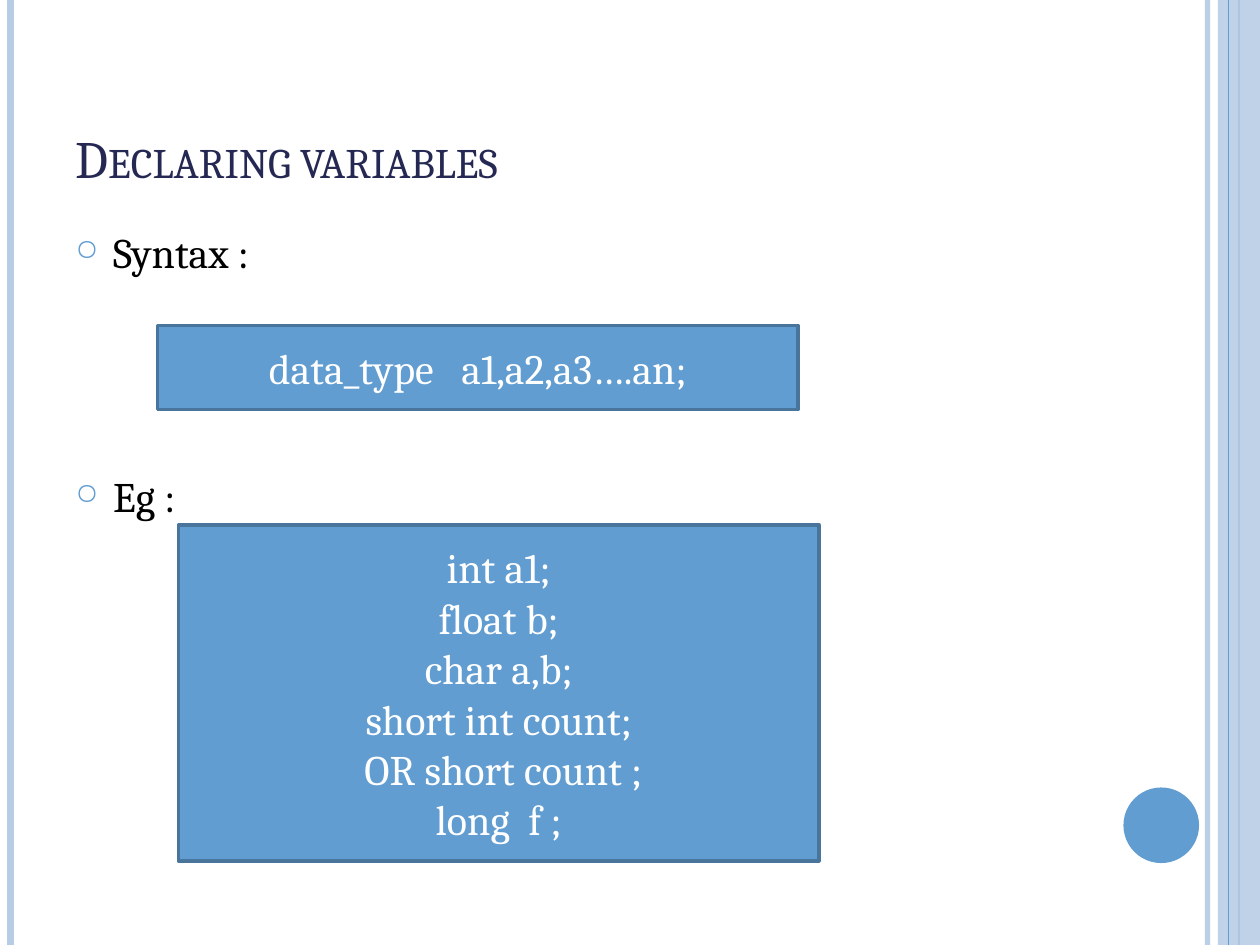
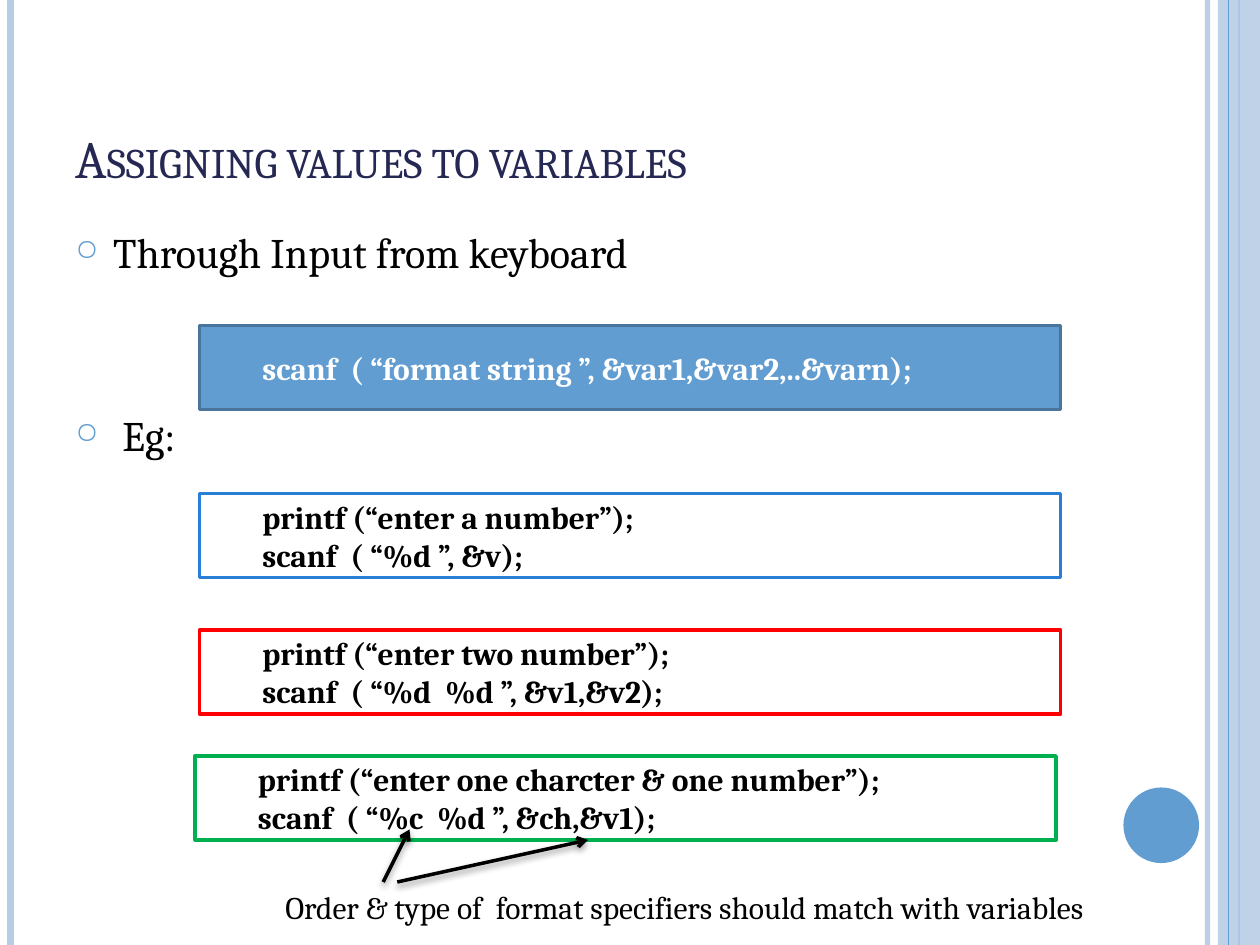
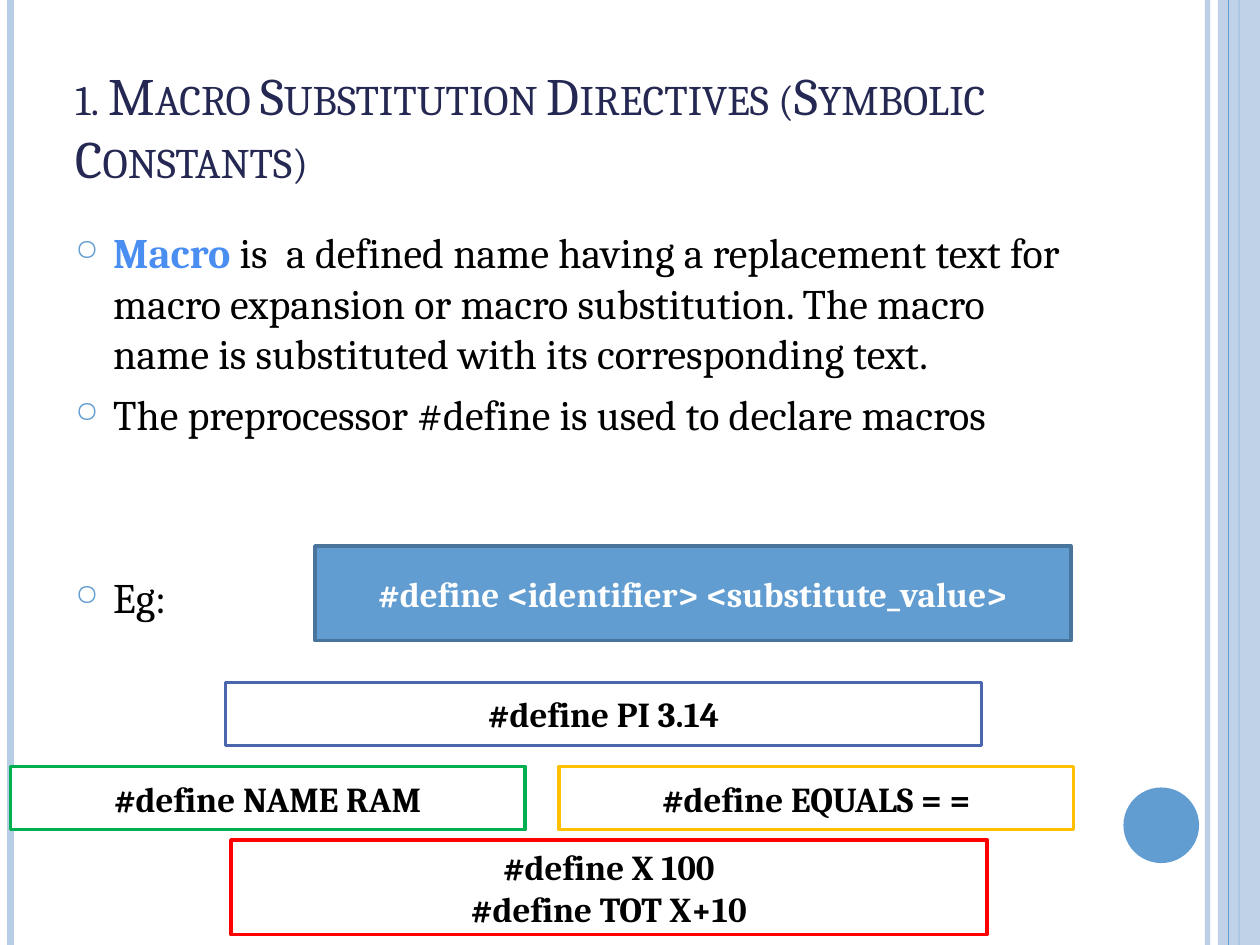
from lxml import etree
from pptx import Presentation
from pptx.dml import color
from pptx.enum import shapes, text
from pptx.oxml import ns
from pptx.util import Pt

WIDTH, HEIGHT = 720, 540
BLUE, PALE, EDGE, NAVY = "629DD1", "B7CCE5", "49749B", "242852"
BLACK, WHITE, RED, GREEN = "000000", "FFFFFF", "FF0000", "00B050"
LINE_PITCH = 34.86  # one 24 pt body line with its space before


def rgb(value):
    return color.RGBColor.from_string(value)


def child(parent, tag, **attributes):
    element = etree.SubElement(parent, ns.qn(tag))
    for key, value in attributes.items():
        element.set(key, str(value))
    return element


def set_alpha(parent, percent):
    for clr in parent.iter(ns.qn("a:srgbClr")):
        child(clr, "a:alpha", val=percent * 1000)


class Deck:
    font = "Cambria"

    def __init__(self):
        self.prs = Presentation()
        self.prs.slide_width, self.prs.slide_height = Pt(WIDTH), Pt(HEIGHT)

    def new_slide(self, title):
        self.slide = self.prs.slides.add_slide(self.prs.slide_layouts[6])
        self.bands()
        self.title(title)

    # Decoration shared by all slides
    def bands(self):
        self.rule(690, PALE, 3, alpha=93)
        self.rule(6, PALE, 4.5)
        self.rule(708, BLUE, 1.5)
        strip = self.shape(shapes.MSO_SHAPE.RECTANGLE, (696, 0, 24, HEIGHT), PALE)
        set_alpha(strip._element.spPr, 87)
        self.rule(702, BLUE, 0.75)
        self.shape(shapes.MSO_SHAPE.OVAL, (642, 450, 43.2, 43.2), BLUE)

    def rule(self, x, line, width, alpha=None):
        band = self.line((x, 0), (x, HEIGHT), line, width)
        child(band._element.spPr, "a:effectLst")
        if alpha:
            set_alpha(band._element.spPr, alpha)

    def line(self, start, end, line, width):
        connector = self.slide.shapes.add_connector(
            shapes.MSO_CONNECTOR.STRAIGHT, *map(Pt, start + end))
        connector.line.color.rgb = rgb(line)
        connector.line.width = Pt(width)
        return connector

    def arrow(self, start, end):
        pointer = self.line(start, end, BLACK, 2)
        child(pointer.line._get_or_add_ln(), "a:tailEnd", type="arrow")
        effects = child(pointer._element.spPr, "a:effectLst")
        shadow = child(effects, "a:outerShdw", blurRad=Pt(4), dist=Pt(2),
                       dir=90 * 60000, rotWithShape=0)
        child(shadow, "a:srgbClr", val=BLACK)
        set_alpha(shadow, 40)

    def shape(self, kind, place, fill, line=None):
        shape = self.slide.shapes.add_shape(kind, *map(Pt, place))
        shape.shadow.inherit = False
        shape.fill.solid()
        shape.fill.fore_color.rgb = rgb(fill)
        if line:
            shape.line.color.rgb = rgb(line)
            shape.line.width = Pt(2)
        else:
            shape.line.fill.background()
        return shape

    def style(self, paragraph, size, ink=BLACK, bold=False):
        paragraph.font.name = self.font
        paragraph.font.size = Pt(size)
        paragraph.font.bold = bold
        paragraph.font.color.rgb = rgb(ink)

    def text_frame(self, place):
        frame = self.slide.shapes.add_textbox(*map(Pt, place)).text_frame
        frame.word_wrap = True
        return frame

    def title(self, words):
        frame = self.text_frame((36, 21.6, 588, 90))
        frame.vertical_anchor = text.MSO_ANCHOR.BOTTOM
        heading = frame.paragraphs[0]
        heading.text = words
        self.style(heading, 30, NAVY)
        heading._p.pPr.get_or_add_defRPr().set("cap", "small")

    def bullets(self, items):
        """Each item is (lines left free above, text, optional bold lead)."""
        frame = self.text_frame((36, 126, 588, 384))
        for i, (gap, words, *lead) in enumerate(items):
            item = frame.add_paragraph() if i else frame.paragraphs[0]
            pPr = item._p.get_or_add_pPr()
            pPr.set("marL", str(Pt(21.6)))
            pPr.set("indent", str(-Pt(21.6)))
            child(child(pPr, "a:buClr"), "a:srgbClr", val=BLUE)
            child(pPr, "a:buSzPct", val=70000)
            child(pPr, "a:buChar", char="○")
            item.space_before = Pt(round(6 + gap * LINE_PITCH, 1))
            self.style(item, 24)
            for term in lead:
                run = item.add_run()
                run.text = term
                run.font.bold = True
                run.font.color.rgb = rgb("4A8EF2")
            item.add_run().text = words

    def code(self, place, lines, size, line=None, bold=True, indent=None):
        """A filled box, or a white one when an outline colour is given."""
        fill, ink = (WHITE, BLACK) if line else (BLUE, WHITE)
        box = self.shape(shapes.MSO_SHAPE.RECTANGLE, place, fill, line or EDGE)
        frame = box.text_frame
        frame.word_wrap = True
        frame.vertical_anchor = text.MSO_ANCHOR.MIDDLE
        for i, words in enumerate(lines):
            row = frame.add_paragraph() if i else frame.paragraphs[0]
            row.text = words
            self.style(row, size, ink, bold)
            if indent:
                row.alignment = text.PP_ALIGN.LEFT
                row._p.pPr.set("marL", str(Pt(indent)))
            else:
                row.alignment = text.PP_ALIGN.CENTER

    def caption(self, place, words):
        note = self.text_frame(place).paragraphs[0]
        note.text = words
        self.style(note, 18)


deck = Deck()

# Declaring variables
deck.new_slide("Declaring variables")
deck.bullets([(0, "Syntax :"), (3, "Eg :")])
deck.code((90, 186, 366, 48), ["data_type   a1,a2,a3….an;"], 24, bold=False)
deck.code((102, 300, 366, 192),
          ["int a1;", "float b;", "char a,b;", "short int count;",
           " OR short count ;", "long  f ;"], 24, bold=False)

# Assigning values
deck.new_slide("Assigning values to variables")
deck.bullets([(0, "Through Input from keyboard"), (2, " Eg:")])
statements = [
    (114, 186, None, ["scanf  ( “format string ”, &var1,&var2,..&varn);"]),
    (114, 282, "297FD5", ["printf (“enter a number”);", "scanf  ( “%d ”, &v);"]),
    (114, 360, RED, ["printf (“enter two number”);",
                     "scanf  ( “%d  %d ”, &v1,&v2);"]),
    (111.5, 432, GREEN, ["printf (“enter one charcter & one number”);",
                         "scanf  ( “%c  %d ”, &ch,&v1);"]),
]
for left, top, outline, lines in statements:
    deck.code((left, top, 492, 48), lines, 18, outline, indent=28.8)
deck.arrow((219, 504), (234, 474))
deck.caption((156, 504, 540, 29),
             "Order & type of  format specifiers should match with variables")
deck.arrow((227, 504), (336, 480))

# Macro substitution
deck.new_slide("1. Macro Substitution Directives (Symbolic Constants)")
deck.bullets([
    (0, " is  a defined name having a replacement text for macro expansion or "
        "macro substitution. The macro name is substituted with its "
        "corresponding text.", "Macro"),
    (0, "The preprocessor #define is used to declare macros"),
    (2, "Eg:"),
])
macros = [
    ((180, 312, 432, 54), None, ["#define <identifier> <substitute_value>"]),
    ((129, 390, 432, 36), "4A66AC", ["#define PI 3.14"]),
    ((6, 438, 294, 36), GREEN, ["#define NAME RAM"]),
    ((132, 480, 432, 54), RED, ["#define X 100", "#define TOT X+10"]),
    ((319.5, 438, 294, 36), "FFC000", ["#define EQUALS = ="]),
]
for place, outline, lines in macros:
    deck.code(place, lines, 20, outline)

deck.prs.save("out.pptx")
